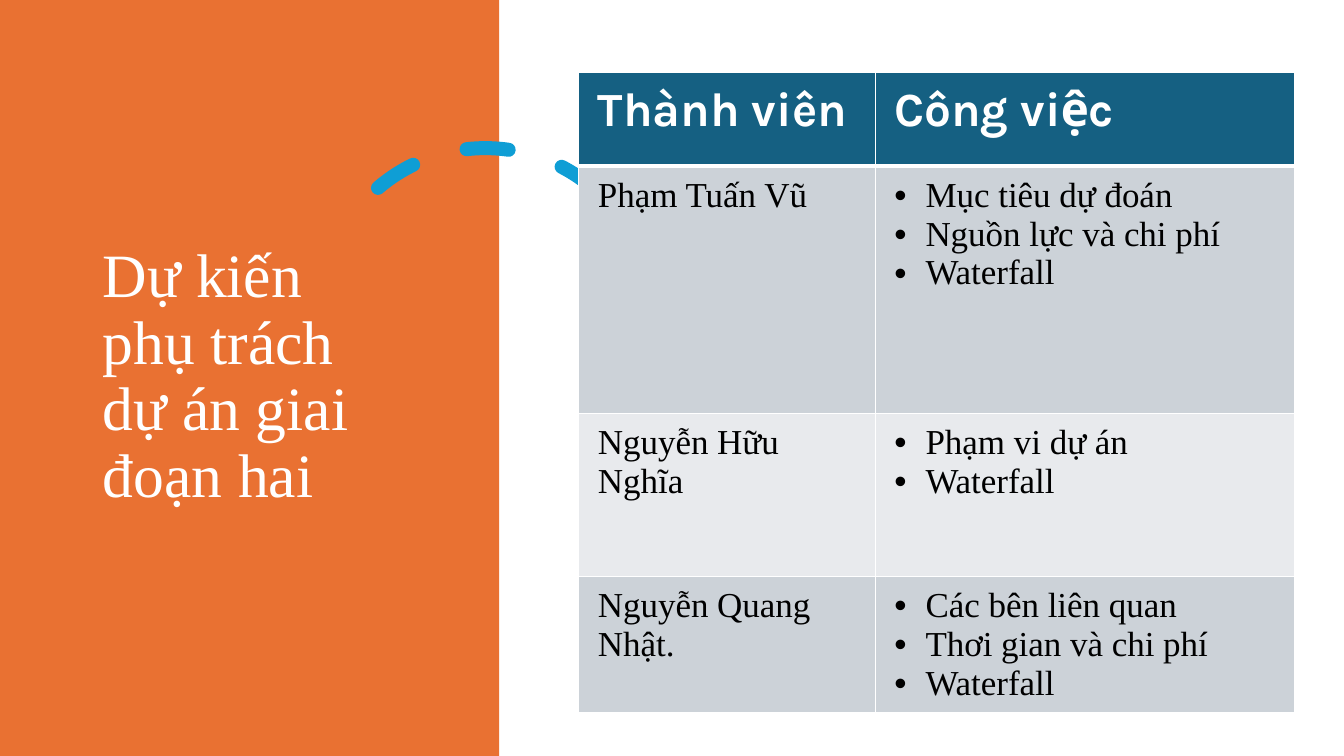
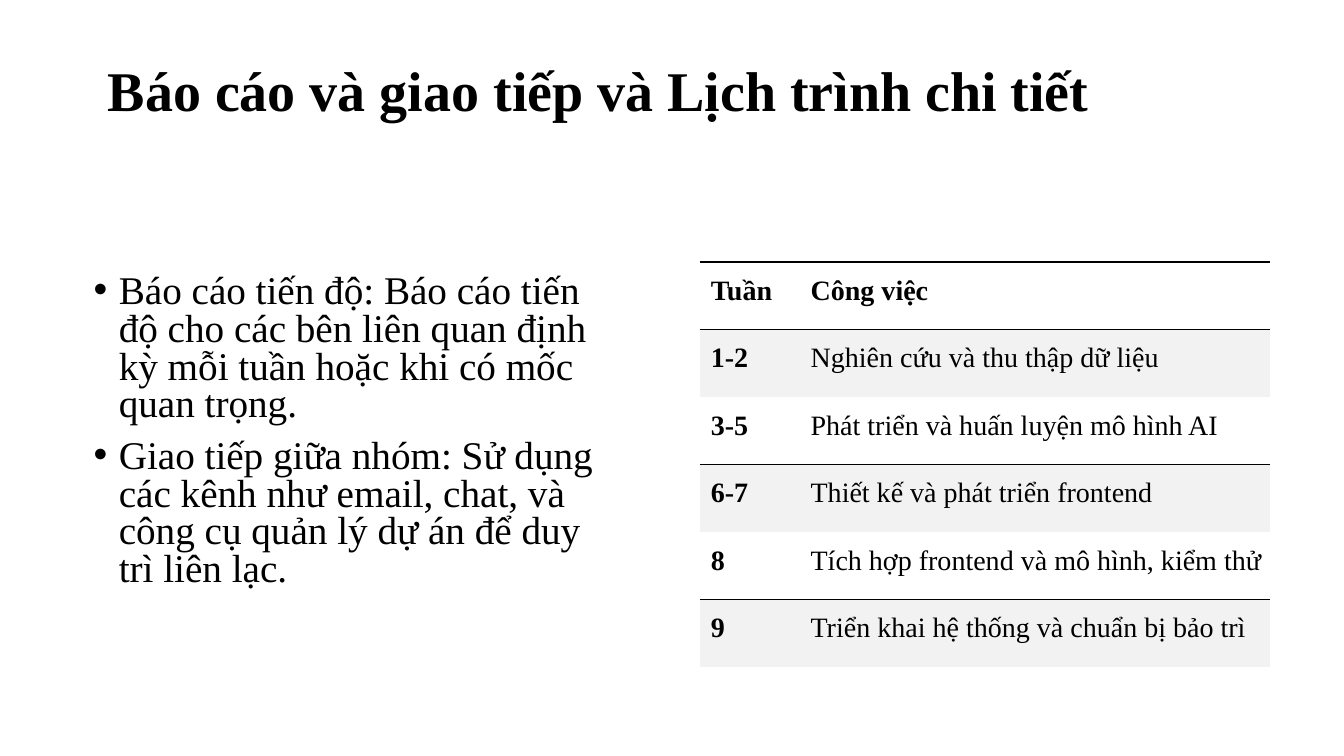
from lxml import etree
from pptx import Presentation
from pptx.dml.color import RGBColor
from pptx.enum.dml import MSO_LINE
from pptx.enum.shapes import MSO_SHAPE
from pptx.enum.text import MSO_ANCHOR, MSO_AUTO_SIZE, PP_ALIGN
from pptx.oxml.ns import qn
from pptx.util import Inches, Pt

LEFT, JUST = PP_ALIGN.LEFT, PP_ALIGN.JUSTIFY
MIDDLE = MSO_ANCHOR.MIDDLE
RECT, ARC = MSO_SHAPE.RECTANGLE, MSO_SHAPE.ARC
DASH = MSO_LINE.DASH
NO_FIT = MSO_AUTO_SIZE.NONE

WHITE = RGBColor(0xFF, 0xFF, 0xFF)
BLACK = RGBColor(0, 0, 0)
ORANGE = RGBColor(0xE9, 0x71, 0x32)
BLUE = RGBColor(0x0F, 0x9E, 0xD5)
TEAL = RGBColor(0x15, 0x60, 0x82)
GREY = RGBColor(0xCC, 0xD2, 0xD8)
PALE = RGBColor(0xE8, 0xEA, 0xED)
LIGHT = RGBColor(0xF2, 0xF2, 0xF2)
SERIF, SANS = "Times New Roman", "Karla"

TEAM_TITLE = "Dự kiến phụ trách dự án giai đoạn hai"
TEAM_HEAD = ("Thành viên", "Công việc")
TEAM = [
    ("Phạm Tuấn Vũ", ["Mục tiêu dự đoán", "Nguồn lực và chi phí", "Waterfall"]),
    ("Nguyễn Hữu Nghĩa", ["Phạm vi dự án", "Waterfall"]),
    ("Nguyễn Quang Nhật.", ["Các bên liên quan", "Thơi gian và chi phí", "Waterfall"]),
]

PLAN_TITLE = "Báo cáo và giao tiếp và Lịch trình chi tiết"
REPORTS = [
    "Báo cáo tiến độ: Báo cáo tiến độ cho các bên liên quan định kỳ mỗi tuần "
    "hoặc khi có mốc quan trọng.",
    "Giao tiếp giữa nhóm: Sử dụng các kênh như email, chat, và công cụ quản lý "
    "dự án để duy trì liên lạc.",
]
PLAN = [
    ("Tuần", "Công việc"),
    ("1-2", "Nghiên cứu và thu thập dữ liệu"),
    ("3-5", "Phát triển và huấn luyện mô hình AI"),
    ("6-7", "Thiết kế và phát triển frontend"),
    ("8", "Tích hợp frontend và mô hình, kiểm thử"),
    ("9", "Triển khai hệ thống và chuẩn bị bảo trì"),
]


def inches(values):
    return [Inches(v) for v in values]


def write(para, text, size, color=BLACK, bold=False, font=SERIF):
    run = para.add_run()
    run.text = text
    run.font.size, run.font.name = Pt(size), font
    run.font.bold, run.font.color.rgb = bold, color


def bullet(para, indent):
    props = para._p.get_or_add_pPr()
    props.set("marL", str(Inches(indent)))
    props.set("indent", str(-Inches(indent)))
    font = etree.SubElement(props, qn("a:buFont"))
    font.set("typeface", "Arial")
    etree.SubElement(props, qn("a:buChar")).set("char", "•")


def write_list(frame, items, size, indent, line=None, gap=0):
    for i, item in enumerate(items):
        para = frame.add_paragraph() if i else frame.paragraphs[0]
        para.alignment = LEFT
        if line:
            para.line_spacing = line
        para.space_before = Pt(gap if i else 0)
        bullet(para, indent)
        write(para, item, size)


def add_slide(deck, text, at, size, color, bold=False, inset=0.1):
    """Add a title-only slide with its title placed and set."""
    slide = deck.slides.add_slide(deck.slide_layouts[5])
    title = slide.shapes.title
    title.left, title.top, title.width, title.height = inches(at)
    frame = title.text_frame
    frame.word_wrap, frame.vertical_anchor = True, MIDDLE
    frame.auto_size = NO_FIT
    frame.margin_left = Inches(inset)
    para = frame.paragraphs[0]
    para.alignment, para.line_spacing = LEFT, 0.9
    write(para, text, size, color, bold)
    return slide


def add_form(slide, kind, at):
    form = slide.shapes.add_shape(kind, *inches(at))
    form.shadow.inherit = False
    return form


def set_edges(cell, edges):
    """Set left, right, top and bottom lines, each a (width, colour) or None."""
    props = cell._tc.get_or_add_tcPr()
    for i, (side, edge) in enumerate(zip("LRTB", edges)):
        line = etree.Element(qn("a:ln" + side))
        if edge:
            width, color = edge
            line.set("w", str(Pt(width)))
            fill = etree.SubElement(line, qn("a:solidFill"))
            etree.SubElement(fill, qn("a:srgbClr")).set("val", str(color))
        else:
            line.set("w", "0")
            etree.SubElement(line, qn("a:noFill"))
        props.insert(i, line)


def add_grid(slide, at, cols, rows, fills, rules, side, insets):
    """Add an empty table; rules maps a line's number from the top to its edge."""
    frame = slide.shapes.add_table(
        len(rows), len(cols), *inches((*at, sum(cols), sum(rows))))
    table = frame.table
    table.first_row = table.horz_banding = False
    for col, width in zip(table.columns, cols):
        col.width = Inches(width)
    for r, (row, height, fill) in enumerate(zip(table.rows, rows, fills)):
        row.height = Inches(height)
        for cell in row.cells:
            (cell.margin_left, cell.margin_top,
             cell.margin_right, cell.margin_bottom) = inches(insets)
            if fill:
                cell.fill.solid()
                cell.fill.fore_color.rgb = fill
            else:
                cell.fill.background()
            set_edges(cell, (side, side, rules.get(r), rules.get(r + 1)))
    return table


def build_team(deck):
    slide = add_slide(deck, TEAM_TITLE, (0.92, 0.7, 3.23, 6.09), 44, WHITE)
    band = add_form(slide, RECT, (0, 0, 4.95, 7.5))
    band.fill.solid()
    band.fill.fore_color.rgb = ORANGE
    band.line.fill.background()
    slide.shapes.title.element.addprevious(band.element)

    arc = add_form(slide, ARC, (3.18, 1.47, 3.27, 3.27))
    arc.adjustments[0], arc.adjustments[1] = 146.13, 0
    arc.rotation = 345.8
    arc.fill.background()
    arc.line.color.rgb, arc.line.width = BLUE, Pt(10)
    arc.line.dash_style = DASH
    arc.line._get_or_add_ln().set("cap", "rnd")

    thin, thick = (1, WHITE), (3, WHITE)
    table = add_grid(
        slide, (5.74, 0.72), (2.94, 4.16), (0.93, 2.45, 1.62, 1.34),
        (TEAL, GREY, PALE, GREY), {0: thin, 1: thick, 2: thin, 3: thin, 4: thin},
        thin, (0.19, 0.1, 0.19, 0.1))
    for c, text in enumerate(TEAM_HEAD):
        write(table.cell(0, c).text_frame.paragraphs[0], text, 34, WHITE, True, SANS)
    for r, (name, tasks) in enumerate(TEAM, 1):
        write(table.cell(r, 0).text_frame.paragraphs[0], name, 25)
        write_list(table.cell(r, 1).text_frame, tasks, 25, 0.31)


def build_plan(deck):
    slide = add_slide(deck, PLAN_TITLE, (0.83, 0.26, 11.77, 1.34), 40, BLACK,
                      True, 0.24)
    box = slide.shapes.add_textbox(*inches((0.83, 2.54, 5.32, 3.5)))
    box.text_frame.word_wrap = True
    box.text_frame.vertical_anchor = MIDDLE
    write_list(box.text_frame, REPORTS, 28, 0.25, 0.8, 10)

    rule = (1, BLACK)
    fills = [LIGHT if r % 2 else None for r in range(len(PLAN))]
    table = add_grid(
        slide, (6.94, 2.6), (0.99, 4.67), [0.67] * len(PLAN), fills,
        {0: rule, 1: rule, 3: rule, 5: rule}, None, (0.11, 0.13, 0.08, 0.16))
    for r, row in enumerate(PLAN):
        for c, text in enumerate(row):
            para = table.cell(r, c).text_frame.paragraphs[0]
            para.alignment = JUST
            write(para, text, 20, bold=r == 0 or c == 0)


def main():
    deck = Presentation()
    deck.slide_width, deck.slide_height = Inches(13.33), Inches(7.5)
    build_team(deck)
    build_plan(deck)
    deck.save("out.pptx")


if __name__ == "__main__":
    main()
